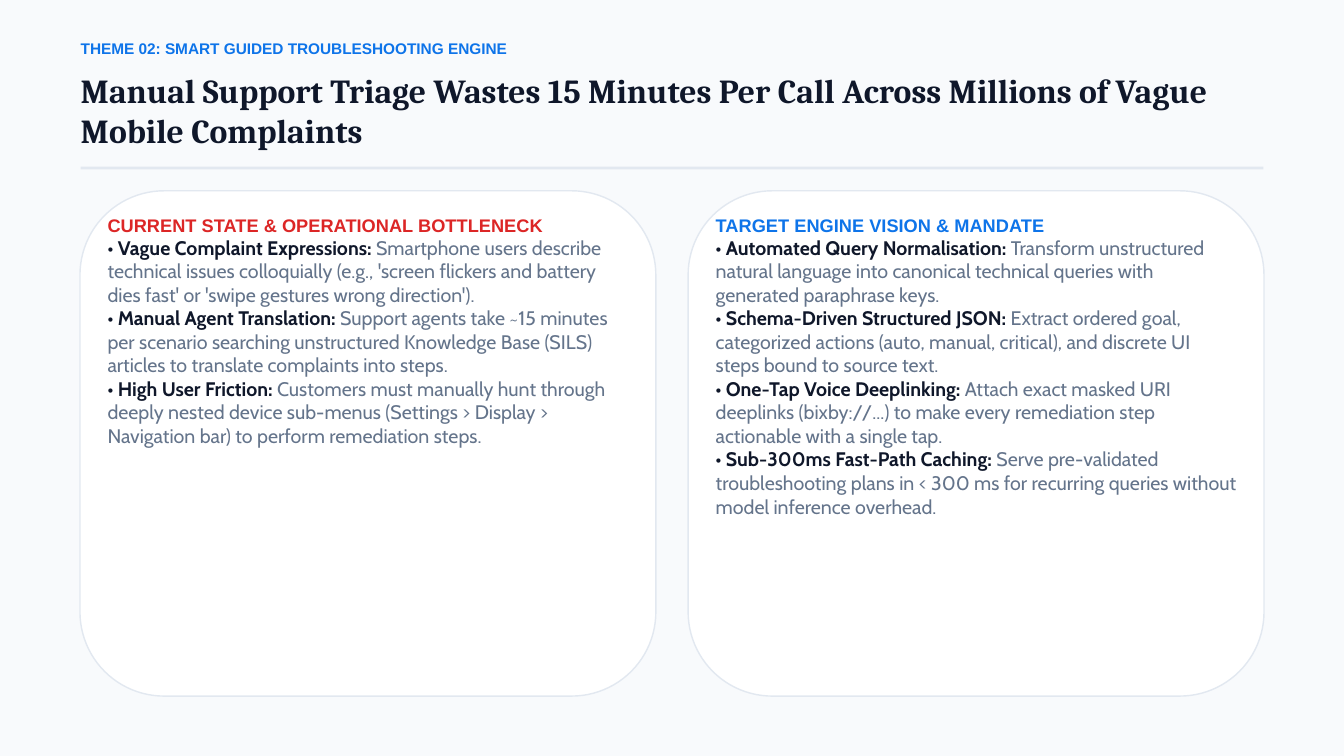
from collections import namedtuple

from pptx import Presentation
from pptx import util as u
from pptx.dml import color
from pptx.enum import shapes, text

# Boxes are measured in hundredths of the slide's width and height
WIDTH, HEIGHT = u.Inches(20), u.Inches(11.25)
Box = namedtuple("Box", "left top width height")

BLUE, RED, INK, GREY = "0E74E9", "DC2626", "0F172A", "64748B"
BORDER, WHITE, BACKGROUND = "E2E8F0", "FFFFFF", "F8FAFC"

KICKER = {"name": "Arial", "size": 16.5, "bold": True, "color": BLUE}
TITLE = {"name": "Cambria", "size": 36, "bold": True, "color": INK}
HEADING = {"name": "Arial", "size": 19.5, "bold": True}
LABEL = {"name": "Cabin", "size": 21, "bold": True, "color": INK}
BODY = {"name": "Cabin", "size": 21, "bold": False, "color": GREY}

HEADER = Box(6, 5.16, 88, 17.24)
CARDS = Box(5.95, 25.24, 88.1, 66.84)
CARD_GAP = 2.4

COLUMNS = [
    ("CURRENT STATE & OPERATIONAL BOTTLENECK", RED, [
        ("Vague Complaint Expressions",
         "Smartphone users describe technical issues colloquially (e.g., 'screen flickers "
         "and battery dies fast' or 'swipe gestures wrong direction')."),
        ("Manual Agent Translation",
         "Support agents take ~15 minutes per scenario searching unstructured Knowledge "
         "Base (SILS) articles to translate complaints into steps."),
        ("High User Friction",
         "Customers must manually hunt through deeply nested device sub-menus "
         "(Settings > Display > Navigation bar) to perform remediation steps."),
    ]),
    ("TARGET ENGINE VISION & MANDATE", BLUE, [
        ("Automated Query Normalisation",
         "Transform unstructured natural language into canonical technical queries with "
         "generated paraphrase keys."),
        ("Schema-Driven Structured JSON",
         "Extract ordered goal, categorized actions (auto, manual, critical), and discrete "
         "UI steps bound to source text."),
        ("One-Tap Voice Deeplinking",
         "Attach exact masked URI deeplinks (bixby://...) to make every remediation step "
         "actionable with a single tap."),
        ("Sub-300ms Fast-Path Caching",
         "Serve pre-validated troubleshooting plans in < 300 ms for recurring queries "
         "without model inference overhead."),
    ]),
]


def rgb(value):
    return color.RGBColor.from_string(value)


def to_slide(box):
    return (int(WIDTH * box.left / 100), int(HEIGHT * box.top / 100),
            int(WIDTH * box.width / 100), int(HEIGHT * box.height / 100))


def add_panel(page, kind, box, fill, line=None):
    panel = page.shapes.add_shape(kind, *to_slide(box))
    panel.shadow.inherit = False
    panel.fill.solid()
    panel.fill.fore_color.rgb = rgb(fill)
    if line:
        panel.line.color.rgb = rgb(line)
        panel.line.width = u.Pt(1.5)
    else:
        panel.line.fill.background()


def add_text(page, box, paragraphs):
    """Each paragraph is its line spacing in points and a list of (text, format)."""
    frame = page.shapes.add_textbox(*to_slide(box)).text_frame
    frame.word_wrap = True
    frame.vertical_anchor = text.MSO_ANCHOR.TOP
    for side in ("left", "top", "right", "bottom"):
        setattr(frame, f"margin_{side}", 0)
    for index, (spacing, spans) in enumerate(paragraphs):
        para = frame.add_paragraph() if index else frame.paragraphs[0]
        para.line_spacing = u.Pt(spacing)
        for words, style in spans:
            span = para.add_run()
            span.text = words
            for key, value in style.items():
                if key == "color":
                    span.font.color.rgb = rgb(value)
                else:
                    setattr(span.font, key, u.Pt(value) if key == "size" else value)


def add_header(page, box):
    kicker_height, title_height, rule_height = 4.18, 12.09, 0.36
    text_width = box.width - 0.25
    title_top = box.top + 4.08
    add_text(page, Box(box.left, box.top, text_width, kicker_height),
             [(19.8, [("THEME 02: SMART GUIDED TROUBLESHOOTING ENGINE", KICKER)])])
    add_text(page, Box(box.left, title_top, text_width, title_height),
             [(43.2, [("Manual Support Triage Wastes 15 Minutes Per Call Across "
                       "Millions of Vague Mobile Complaints", TITLE)])])
    # Rule along the bottom of the header
    add_panel(page, shapes.MSO_SHAPE.RECTANGLE,
              Box(box.left, box.top + box.height - rule_height, box.width, rule_height),
              BORDER)


def add_card(page, box, heading, accent, points):
    add_panel(page, shapes.MSO_SHAPE.ROUNDED_RECTANGLE, box, WHITE, BORDER)
    inset_x, inset_y = 2.05, 3.05
    inner = Box(box.left + inset_x, box.top + inset_y,
                box.width - 2 * inset_x, box.height - 2 * inset_y)
    paragraphs = [(23.4, [(heading, {**HEADING, "color": accent})])]
    paragraphs += [(25.2, [(f"• {label}: ", LABEL), (body, BODY)])
                   for label, body in points]
    add_text(page, inner, paragraphs)


def add_cards(page, box):
    width = (box.width - CARD_GAP * (len(COLUMNS) - 1)) / len(COLUMNS)
    for index, column in enumerate(COLUMNS):
        left = box.left + index * (width + CARD_GAP)
        add_card(page, Box(left, box.top, width, box.height), *column)


def main():
    deck = Presentation()
    deck.slide_width, deck.slide_height = WIDTH, HEIGHT
    page = deck.slides.add_slide(deck.slide_layouts[6])
    page.background.fill.solid()
    page.background.fill.fore_color.rgb = rgb(BACKGROUND)
    add_header(page, HEADER)
    add_cards(page, CARDS)
    deck.save("out.pptx")


if __name__ == "__main__":
    main()
